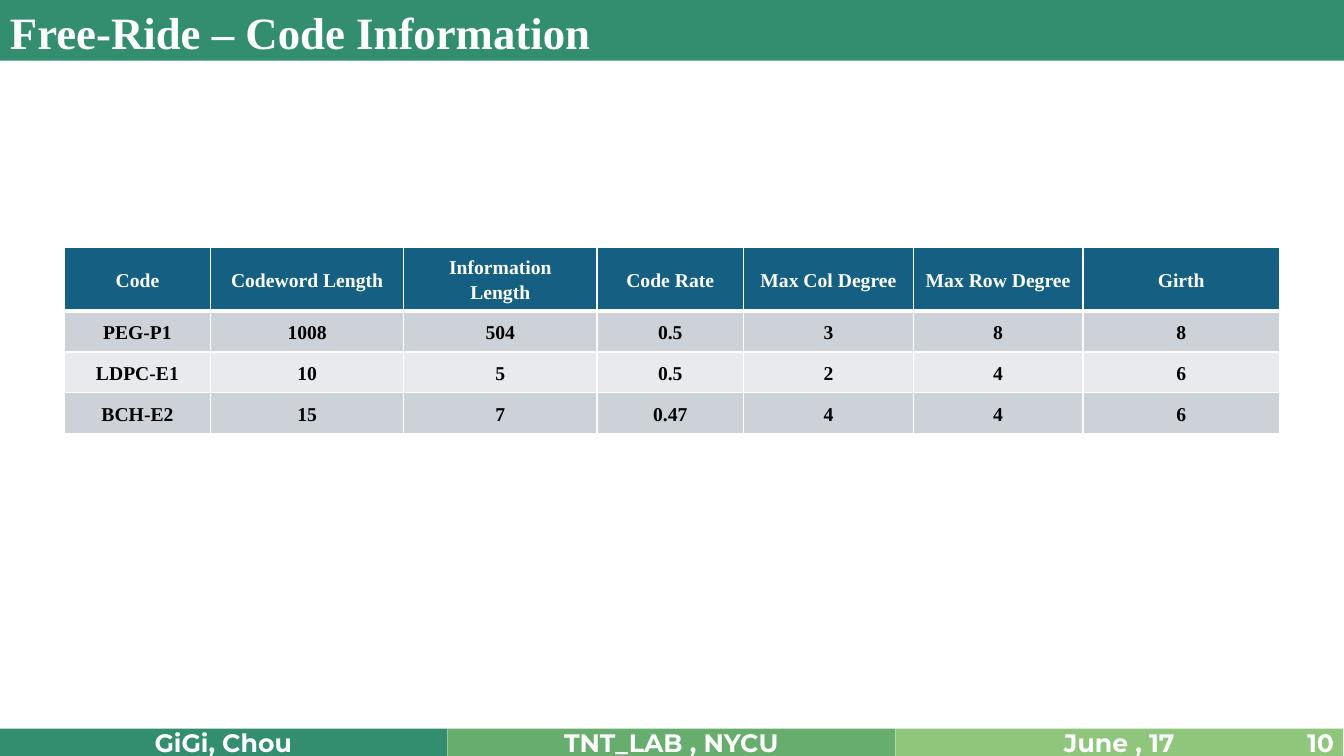
from lxml.etree import SubElement
from pptx import Presentation
from pptx.dml.color import RGBColor
from pptx.enum.shapes import MSO_SHAPE
from pptx.enum.text import MSO_ANCHOR, PP_ALIGN
from pptx.oxml.ns import qn
from pptx.util import Pt

SERIF, SANS = "Times New Roman", "Montserrat"
WHITE, BLACK, GREEN = "FFFFFF", "000000", "328E6E"
FOOTER = [("GiGi, Chou", GREEN), ("TNT_LAB , NYCU", "67AE6E"), ("June , 17", "90C67C")]
COLUMN_WIDTHS = [104.4, 138, 138, 104.8, 121.2, 121.2, 140.4]
ROW_HEIGHT = 29.2
ROW_FILLS = ["156082", "CCD2D8", "E8EAED", "CCD2D8"]
CODES = [
    ["Code", "Codeword Length", "Information\vLength", "Code Rate",
     "Max Col Degree", "Max Row Degree", "Girth"],
    ["PEG-P1", "1008", "504", "0.5", "3", "8", "8"],
    ["LDPC-E1", "10", "5", "0.5", "2", "4", "6"],
    ["BCH-E2", "15", "7", "0.47", "4", "4", "6"],
]


def colour(value):
    return RGBColor.from_string(value)


def write(frame, text, size, font, ink=WHITE, align=PP_ALIGN.CENTER):
    frame.text = text
    paragraph = frame.paragraphs[0]
    paragraph.alignment = align
    paragraph.font.size = Pt(size)
    paragraph.font.name = font
    paragraph.font.bold = True
    paragraph.font.color.rgb = colour(ink)
    return paragraph


def add_bar(page, left, top, width, height, fill):
    bar = page.shapes.add_shape(MSO_SHAPE.RECTANGLE, Pt(left), Pt(top), Pt(width), Pt(height))
    bar.shadow.inherit = False
    bar.fill.solid()
    bar.fill.fore_color.rgb = colour(fill)
    bar.line.fill.background()
    bar.text_frame.vertical_anchor = MSO_ANCHOR.MIDDLE
    return bar


def add_label(page, left, top, width, height, text, size, font, align, anchor):
    box = page.shapes.add_textbox(Pt(left), Pt(top), Pt(width), Pt(height))
    box.text_frame.word_wrap = True
    box.text_frame.vertical_anchor = anchor
    write(box.text_frame, text, size, font, align=align)


def add_borders(cell, top, bottom):
    properties = cell._tc.get_or_add_tcPr()
    for side, width in (("L", 1), ("R", 1), ("T", top), ("B", bottom)):
        line = SubElement(properties, qn(f"a:ln{side}"), w=str(Pt(width)))
        fill = SubElement(line, qn("a:solidFill"))
        SubElement(fill, qn("a:srgbClr"), val=WHITE)


def add_code_table(page, left, top):
    frame = page.shapes.add_table(len(CODES), len(COLUMN_WIDTHS), Pt(left), Pt(top),
                                  Pt(sum(COLUMN_WIDTHS)), Pt(ROW_HEIGHT * len(CODES)))
    table = frame.table
    for column, width in zip(table.columns, COLUMN_WIDTHS):
        column.width = Pt(width)
    for r, values in enumerate(CODES):
        table.rows[r].height = Pt(ROW_HEIGHT)
        for c, value in enumerate(values):
            cell = table.cell(r, c)
            # A thick rule separates the header from the body
            add_borders(cell, top=3 if r == 1 else 1, bottom=3 if r == 0 else 1)
            cell.fill.solid()
            cell.fill.fore_color.rgb = colour(ROW_FILLS[r])
            cell.vertical_anchor = MSO_ANCHOR.MIDDLE
            paragraph = write(cell.text_frame, value, 14, SERIF, WHITE if r == 0 else BLACK)
            paragraph.line_spacing = 1.15
            paragraph.space_after = Pt(8 if r < 2 else 0)


def main():
    deck = Presentation()
    deck.slide_width, deck.slide_height = Pt(960), Pt(540)
    page = deck.slides.add_slide(deck.slide_layouts[6])

    # Footer bars
    for i, (text, fill) in enumerate(FOOTER):
        bar = add_bar(page, 320 * i - 0.5, 520.5, 320, 19.5, fill)
        write(bar.text_frame, text, 18, SANS)

    # Title band, page number and title
    add_bar(page, 0, 0, 960, 43.4, GREEN)
    add_label(page, 744, 521.5, 216, 17.5, "10", 18, SANS, PP_ALIGN.RIGHT, MSO_ANCHOR.MIDDLE)
    add_label(page, 0, 0, 838, 46, "Free-Ride – Code Information", 32, SERIF,
              PP_ALIGN.LEFT, MSO_ANCHOR.TOP)

    # Code parameters
    add_code_table(page, 46, 176.4)
    deck.save("out.pptx")


if __name__ == "__main__":
    main()
